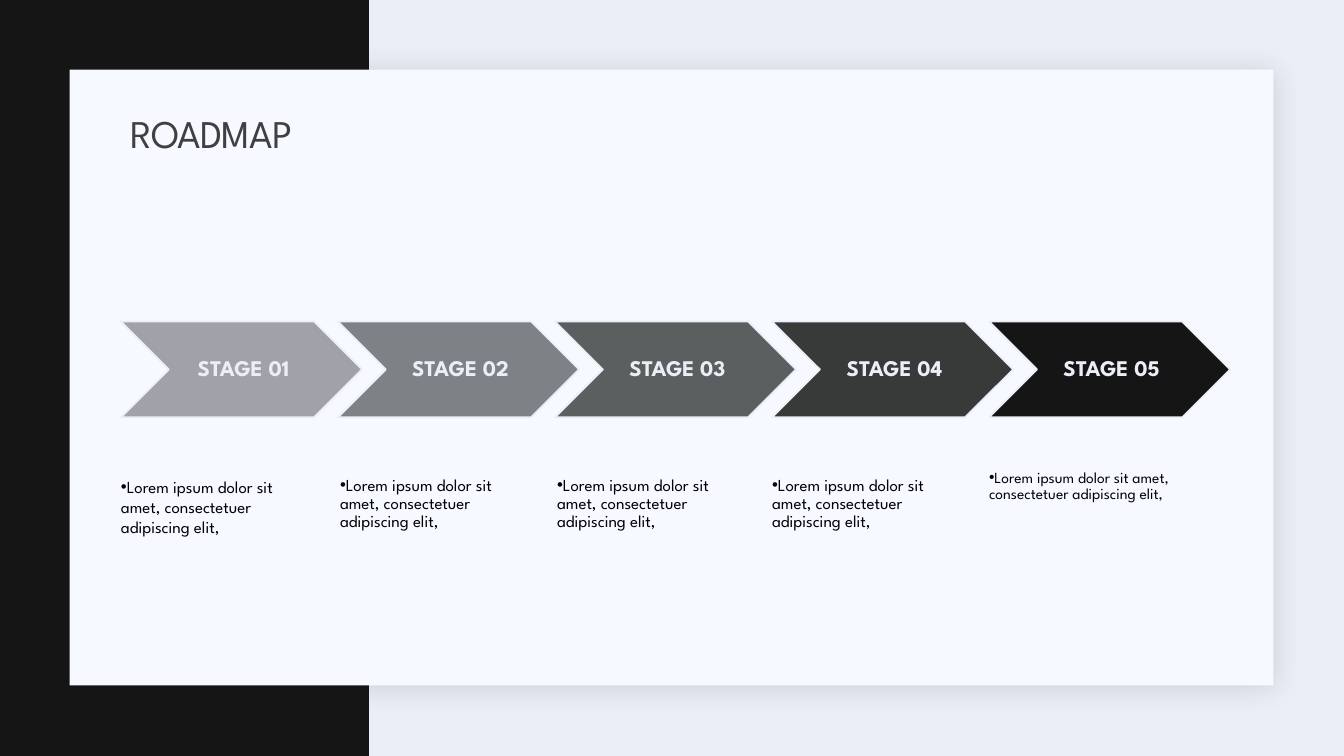
from dataclasses import dataclass

from lxml.etree import SubElement
from pptx import Presentation
from pptx.dml.color import RGBColor
from pptx.enum.shapes import MSO_SHAPE as Kind
from pptx.enum.text import MSO_ANCHOR as Anchor, PP_ALIGN as Align
from pptx.oxml.ns import qn
from pptx.shapes.autoshape import Shape
from pptx.shapes.shapetree import GroupShapes, SlideShapes
from pptx.util import Inches, Pt

FONT = "League Spartan"
PALE = RGBColor(0xEC, 0xEE, 0xF7)
PAPER = RGBColor(0xF6, 0xF9, 0xFF)
INK = RGBColor(0x14, 0x15, 0x14)
GREY = RGBColor(0x40, 0x40, 0x40)
BLACK = RGBColor(0x00, 0x00, 0x00)
MIST = RGBColor(0xA1, 0xA2, 0xA9)
STEEL = RGBColor(0x7C, 0x82, 0x86)
SLATE = RGBColor(0x5A, 0x60, 0x60)
COAL = RGBColor(0x37, 0x3A, 0x39)

BODY = "Lorem ipsum dolor sit amet, consectetuer adipiscing elit,"
LEFT, LAST = 1.2, 9.81
TOP, TALL, WIDE = 3.19, 0.95, 2.39


@dataclass
class Stage:
    fill: RGBColor
    size: int = 12
    inset: float = 0.2
    indent: float = 0
    leading: float = 0.9


@dataclass
class Box:
    left: float
    top: float
    width: float
    height: float

    def lengths(self) -> list[int]:
        return [Inches(n) for n in (self.left, self.top, self.width, self.height)]


STAGES = [
    Stage(MIST, leading=1.0),
    Stage(STEEL, inset=0, indent=0.02),
    Stage(SLATE, indent=0.02),
    Stage(COAL),
    Stage(INK, size=11, inset=0),
]


def add_block(shapes: SlideShapes | GroupShapes, kind: Kind, box: Box,
              fill: RGBColor) -> Shape:
    block = shapes.add_shape(kind, *box.lengths())
    block.shadow.inherit = False
    block.fill.solid()
    block.fill.fore_color.rgb = fill
    block.line.fill.background()
    return block


def add_text(shapes: SlideShapes | GroupShapes, box: Box, text: str, size: int,
             color: RGBColor, pads: tuple[float, float, float, float],
             anchor: Anchor = Anchor.MIDDLE, leading: float = 0.9) -> Shape:
    note = shapes.add_textbox(*box.lengths())
    frame = note.text_frame
    frame.word_wrap = True
    frame.vertical_anchor = anchor
    (frame.margin_left, frame.margin_top,
     frame.margin_right, frame.margin_bottom) = map(Inches, pads)
    para = frame.paragraphs[0]
    para.text = text
    para.line_spacing = leading
    para.font.name = FONT
    para.font.size = Pt(size)
    para.font.color.rgb = color
    return note


def add_shadow(block: Shape) -> None:
    effects = block.element.spPr.find(qn("a:effectLst"))
    shade = SubElement(effects, qn("a:outerShdw"), blurRad=str(Pt(20)),
                       dist=str(Pt(2)), dir=str(45 * 60000), algn="ctr", rotWithShape="0")
    color = SubElement(shade, qn("a:srgbClr"), val="1F2125")
    SubElement(color, qn("a:alpha"), val="15000")


def add_bullet(note: Shape, indent: float) -> None:
    props = note.text_frame.paragraphs[0]._p.get_or_add_pPr()
    props.set("marL", str(Inches(indent)))
    props.set("indent", "0")
    SubElement(props, qn("a:buFont"), typeface="Arial")
    SubElement(props, qn("a:buChar"), char="•")


def add_stage(shapes: GroupShapes, index: int, stage: Stage) -> None:
    left = LEFT + index * (LAST - LEFT) / (len(STAGES) - 1)
    arrow = add_block(shapes, Kind.CHEVRON, Box(left, TOP, WIDE, TALL), stage.fill)
    arrow.line.color.rgb = PALE
    arrow.line.width = Pt(1.25)

    label = add_text(shapes, Box(left + TALL / 2, TOP, 1.43, TALL),
                     f"STAGE {index + 1:02}", 16, PALE, (0.07, 0.02, 0.02, 0.02))
    para = label.text_frame.paragraphs[0]
    para.alignment = Align.CENTER
    para.font.bold = True

    note = add_text(shapes, Box(left, 4.26, 1.91, 1.28), BODY, stage.size, BLACK,
                    (0, 0.47, stage.inset, 0), Anchor.TOP, stage.leading)
    add_bullet(note, stage.indent)


def main() -> None:
    deck = Presentation()
    deck.slide_width, deck.slide_height = Inches(13.33), Inches(7.5)
    slide = deck.slides.add_slide(deck.slide_layouts[6])
    shapes = slide.shapes

    # Backdrop
    slide.background.fill.solid()
    slide.background.fill.fore_color.rgb = PALE
    add_block(shapes, Kind.RECTANGLE, Box(0, 0, 3.66, 7.5), INK)
    card = add_block(shapes, Kind.RECTANGLE, Box(0.69, 0.69, 11.94, 6.11), PAPER)
    add_shadow(card)

    # Stages
    group = shapes.add_group_shape()
    for index, stage in enumerate(STAGES):
        add_stage(group.shapes, index, stage)

    # Title
    title = add_text(shapes, Box(LEFT, 1.03, 11, 0.64), "ROADMAP", 28, GREY,
                     (0.1, 0.05, 0.1, 0.05))
    run = title.text_frame.paragraphs[0].runs[0]
    run.font._element.set("spc", "-50")

    deck.save("out.pptx")


if __name__ == "__main__":
    main()
